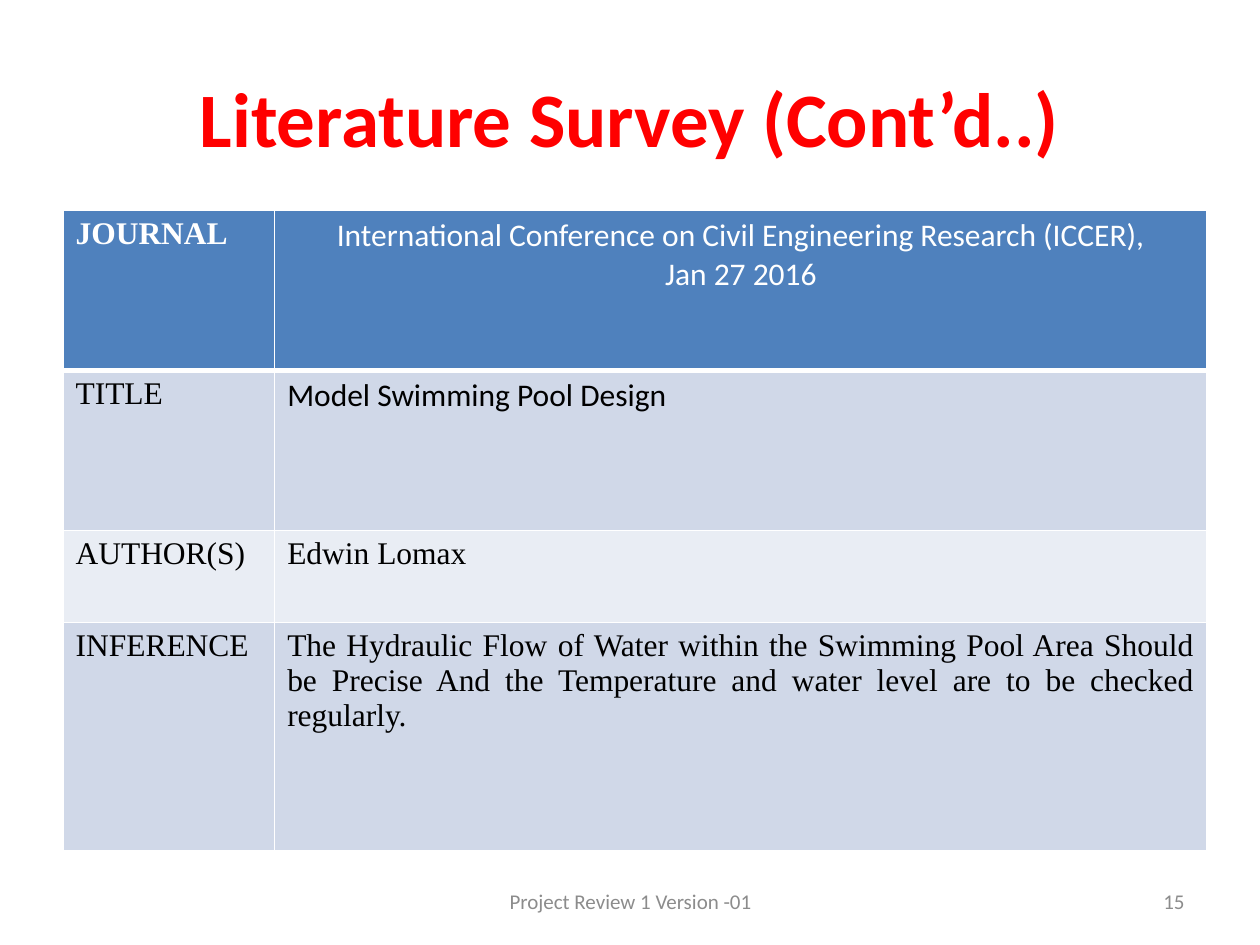
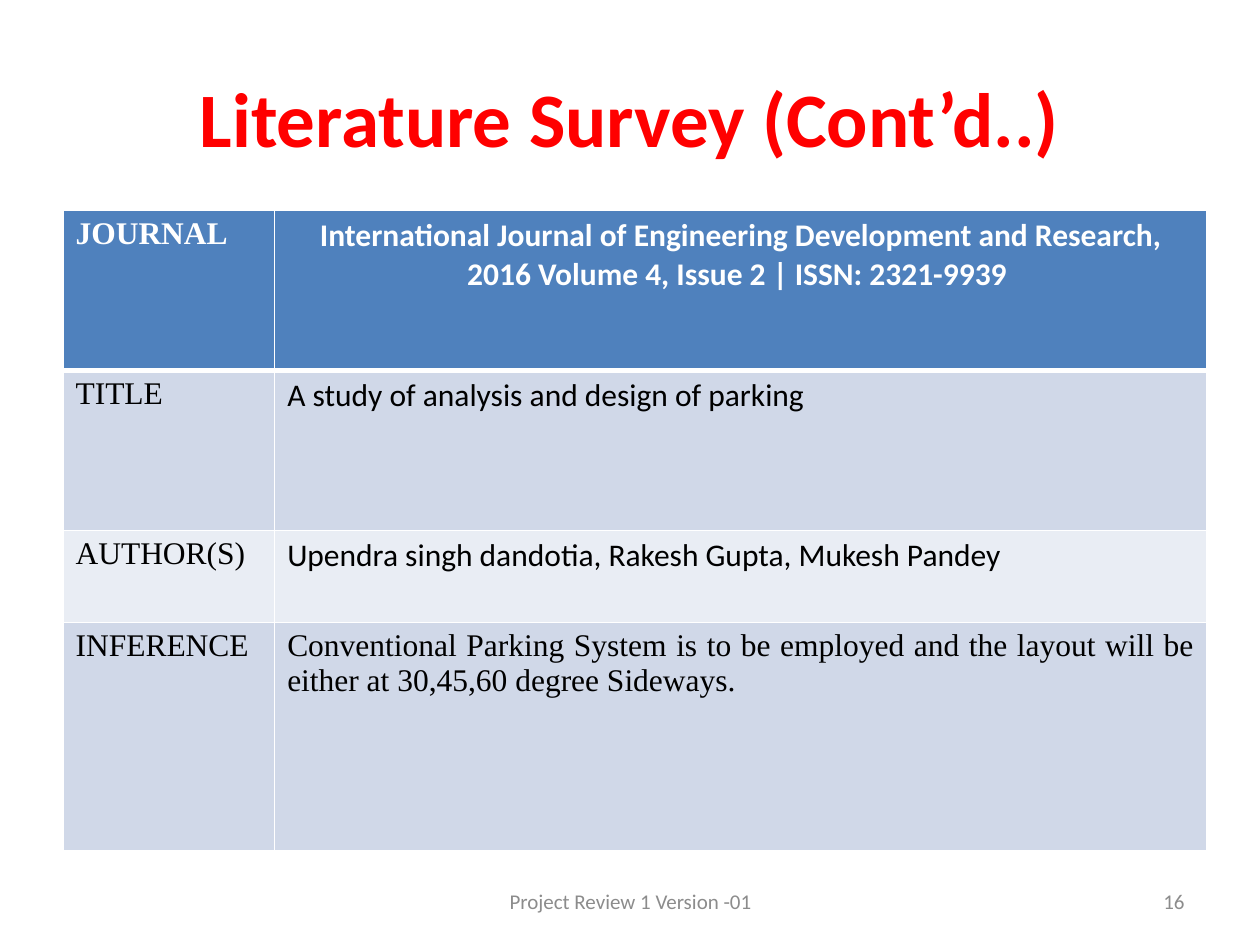
"""Build two literature survey slides, each with a paper summary table."""
from dataclasses import dataclass

from lxml import etree
from pptx import Presentation
from pptx import util as u
from pptx.dml.color import RGBColor
from pptx.enum import text
from pptx.oxml import ns

TITLE = "Literature Survey (Cont’d..)"
FOOTER = "Project Review 1 Version -01"
FIRST_NUMBER = 15
LABELS = ("JOURNAL", "TITLE", "AUTHOR(S)", "INFERENCE")


@dataclass(frozen=True)
class Theme:
    sans: str = "Calibri"
    serif: str = "Times New Roman"
    title_color: str = "FF0000"
    footer_color: str = "8C8C8C"
    header_fill: str = "4F81BD"
    band_fills: tuple = ("D0D8E8", "E9EDF4")
    white: str = "FFFFFF"
    black: str = "000000"
    title_size: int = 44
    body_size: int = 18
    footer_size: int = 12
    thin_line: int = 1
    thick_line: int = 3


THEME = Theme()
LEFT, CENTER = text.PP_ALIGN.LEFT, text.PP_ALIGN.CENTER
RIGHT, JUSTIFY = text.PP_ALIGN.RIGHT, text.PP_ALIGN.JUSTIFY

PAPERS = [
    {
        "entries": (
            "International Conference on Civil Engineering Research (ICCER),\nJan 27 2016",
            "Model Swimming Pool Design",
            "Edwin Lomax",
            "The Hydraulic Flow of Water within the Swimming Pool Area Should be "
            "Precise And the Temperature and water level are to be checked regularly.",
        ),
        "fonts": (THEME.sans, THEME.sans, THEME.serif, THEME.serif),
        "bold_journal": False,
    },
    {
        "entries": (
            "International Journal of Engineering Development and Research, "
            "2016 Volume 4, Issue 2 | ISSN: 2321-9939 ",
            "A study of analysis and design of parking",
            "Upendra singh dandotia, Rakesh Gupta, Mukesh Pandey",
            "Conventional Parking System is to be employed and the layout will be "
            "either at 30,45,60 degree Sideways.",
        ),
        "fonts": (THEME.sans, THEME.sans, THEME.sans, THEME.serif),
        "bold_journal": True,
    },
]
ENTRY_ALIGNS = (CENTER, LEFT, LEFT, JUSTIFY)

TITLE_AREA = (0.5, 0.3, 9, 1.25)
NUMBER_AREA = (7.17, 6.95, 2.33, 0.4)
FOOTER_AREA = (3.42, 6.95, 3.17, 0.4)
TABLE_CORNER = (0.5, 1.67)
COLUMN_WIDTHS = (1.68, 7.4)
ROW_HEIGHTS = (1.27, 1.27, 0.73, 1.81)


def write(frame, words, font, size, color, align=LEFT, bold=False):
    frame.text = words
    for para in frame.paragraphs:
        para.alignment = align
        for span in para.runs:
            span.font.name = font
            span.font.size = u.Pt(size)
            span.font.bold = bold
            span.font.color.rgb = RGBColor.from_string(color)


def add_label(page, area, words, size, color, align, bold=False):
    box = page.shapes.add_textbox(*map(u.Inches, area))
    frame = box.text_frame
    frame.word_wrap = True
    frame.vertical_anchor = text.MSO_ANCHOR.MIDDLE
    write(frame, words, THEME.sans, size, color, align, bold)


def set_borders(cell, row):
    thick_side = {0: "lnB", 1: "lnT"}.get(row)
    properties = cell._tc.get_or_add_tcPr()
    for position, side in enumerate(("lnL", "lnR", "lnT", "lnB")):
        points = THEME.thick_line if side == thick_side else THEME.thin_line
        line = etree.Element(ns.qn(f"a:{side}"), w=str(u.Pt(points)))
        fill = etree.SubElement(line, ns.qn("a:solidFill"))
        etree.SubElement(fill, ns.qn("a:srgbClr"), val=THEME.white)
        properties.insert(position, line)


def add_paper_table(page, paper):
    size = (sum(COLUMN_WIDTHS), sum(ROW_HEIGHTS))
    table = page.shapes.add_table(
        len(LABELS), len(COLUMN_WIDTHS), *map(u.Inches, TABLE_CORNER + size)
    ).table
    for column, width in zip(table.columns, COLUMN_WIDTHS):
        column.width = u.Inches(width)
    for row, height in enumerate(ROW_HEIGHTS):
        table.rows[row].height = u.Inches(height)
        header = row == 0
        fill = THEME.header_fill if header else THEME.band_fills[(row - 1) % 2]
        color = THEME.white if header else THEME.black
        label, entry = table.cell(row, 0), table.cell(row, 1)
        write(label.text_frame, LABELS[row], THEME.serif, THEME.body_size,
              color, bold=header)
        write(entry.text_frame, paper["entries"][row], paper["fonts"][row],
              THEME.body_size, color, ENTRY_ALIGNS[row],
              header and paper["bold_journal"])
        for cell in (label, entry):
            cell.fill.solid()
            cell.fill.fore_color.rgb = RGBColor.from_string(fill)
            set_borders(cell, row)


def add_page(deck, number, paper):
    page = deck.slides.add_slide(deck.slide_layouts[6])
    add_label(page, TITLE_AREA, TITLE, THEME.title_size, THEME.title_color,
              CENTER, bold=True)
    add_paper_table(page, paper)
    for area, words, align in ((NUMBER_AREA, str(number), RIGHT),
                               (FOOTER_AREA, FOOTER, CENTER)):
        add_label(page, area, words, THEME.footer_size, THEME.footer_color, align)


def main():
    deck = Presentation()
    deck.slide_width, deck.slide_height = u.Inches(10), u.Inches(7.5)
    for number, paper in enumerate(PAPERS, FIRST_NUMBER):
        add_page(deck, number, paper)
    deck.save("out.pptx")


if __name__ == "__main__":
    main()
